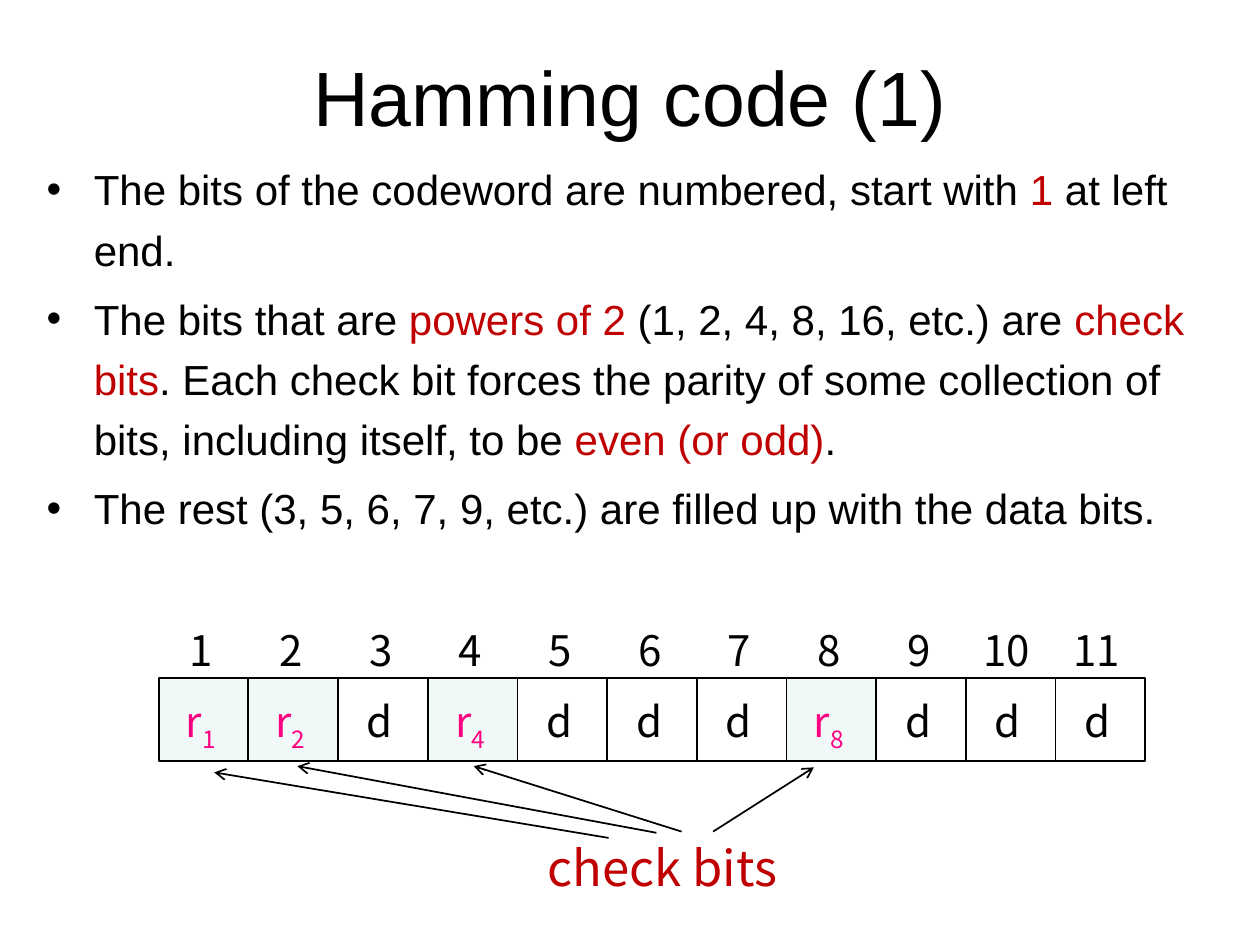
"""Build a slide on the numbering of check bits and data bits in a Hamming code."""
from pptx import Presentation
from pptx.dml.color import RGBColor
from pptx.enum.shapes import MSO_CONNECTOR, MSO_SHAPE
from pptx.enum.text import MSO_ANCHOR, MSO_AUTO_SIZE, PP_ALIGN
from pptx.oxml.ns import qn
from pptx.util import Pt
from lxml.etree import SubElement

BLACK = RGBColor(0x00, 0x00, 0x00)
RED = RGBColor(0xC0, 0x00, 0x00)
PINK = RGBColor(0xFC, 0x02, 0x80)
PALE = RGBColor(0xF0, 0xF8, 0xF8)
BODY_FONT = "Arial"
DIAGRAM_FONT = "Noto Sans CJK SC"

TITLE = "Hamming code (1)"
BULLETS = [
    [("The bits of the codeword are numbered, start with", BLACK), (" 1 ", RED),
     ("at left end.", BLACK)],
    [("The bits that are ", BLACK), ("powers of 2", RED),
     (" (1, 2, 4, 8, 16, etc.) are ", BLACK), ("check bits", RED),
     (". Each check bit forces the parity of some collection of bits, "
      "including itself, to be ", BLACK), ("even (or odd)", RED), (".", BLACK)],
    [("The rest (3, 5, 6, 7, 9, etc.) are filled up with the data bits.", BLACK)],
]
CAPTION = "check bits"
BIT_COUNT = 11
ARROWS = [
    ((347.8, 478.8), (122.4, 441.4)),
    ((375.1, 475.9), (169.9, 437.8)),
    ((389.5, 475.2), (270.7, 437.8)),
    ((407.5, 475.2), (465.1, 438.5)),
]

ROW_LEFT, ROW_TOP = 90.7, 387.4
CELL_WIDTH, CELL_HEIGHT = 51.25, 47.5
NUMBER_TOP = 353.5


def add_span(para, text, size=24, font=BODY_FONT, color=BLACK, subscript=False):
    span = para.add_run()
    span.text = text
    span.font.size = Pt(size)
    span.font.name = font
    span.font.color.rgb = color
    if subscript:
        span._r.get_or_add_rPr().set("baseline", "-25000")


def place(shape, left, top, width, height):
    shape.left, shape.top = Pt(left), Pt(top)
    shape.width, shape.height = Pt(width), Pt(height)


def add_label(page, left, top, width, height, spacing=1.0):
    box = page.shapes.add_textbox(Pt(left), Pt(top), Pt(width), Pt(height))
    box.text_frame.word_wrap = True
    para = box.text_frame.paragraphs[0]
    para.line_spacing = spacing
    return para


def add_bullets(body):
    place(body, 19.4, 84.2, 695.5, 413.3)
    frame = body.text_frame
    frame.auto_size = MSO_AUTO_SIZE.NONE
    for index, pieces in enumerate(BULLETS):
        para = frame.paragraphs[0] if index == 0 else frame.add_paragraph()
        para.line_spacing = 1.2
        para.space_before = Pt(4.8 if index else 0)
        for text, color in pieces:
            add_span(para, text, color=color)


def add_bit(page, number):
    left = ROW_LEFT + (number - 1) * CELL_WIDTH
    is_check = number & (number - 1) == 0
    cell = page.shapes.add_shape(MSO_SHAPE.RECTANGLE, Pt(left), Pt(ROW_TOP),
                                 Pt(CELL_WIDTH), Pt(CELL_HEIGHT))
    cell.shadow.inherit = False
    cell.line.color.rgb = BLACK
    cell.line.width = Pt(1)
    if is_check:
        cell.fill.solid()
        cell.fill.fore_color.rgb = PALE
    else:
        cell.fill.background()

    number_inset, number_width = (10.7, 34.6) if number < 10 else (3, 55)
    para = add_label(page, left + number_inset, NUMBER_TOP, number_width, 36)
    add_span(para, str(number), font=DIAGRAM_FONT)

    if is_check:
        para = add_label(page, left + 8.5, ROW_TOP, 44, 41.8, spacing=1.2)
        add_span(para, "r", font=DIAGRAM_FONT, color=PINK)
        add_span(para, str(number), font=DIAGRAM_FONT, color=PINK, subscript=True)
    else:
        para = add_label(page, left + 9.4, ROW_TOP + 0.5, 36.7, 41, spacing=1.2)
        add_span(para, "d", font=DIAGRAM_FONT)


def add_arrow(page, start, end):
    arrow = page.shapes.add_connector(MSO_CONNECTOR.STRAIGHT,
                                      *map(Pt, start), *map(Pt, end))
    arrow.line.color.rgb = BLACK
    arrow.line.width = Pt(1)
    SubElement(arrow.get_or_add_ln(), qn("a:tailEnd"), type="arrow")
    SubElement(arrow._element.spPr, qn("a:effectLst"))


def main():
    deck = Presentation()
    deck.slide_width, deck.slide_height = Pt(720), Pt(540)
    page = deck.slides.add_slide(deck.slide_layouts[1])

    title = page.shapes.title
    place(title, 36, 9.4, 648, 90)
    title.text_frame.vertical_anchor = MSO_ANCHOR.MIDDLE
    heading = title.text_frame.paragraphs[0]
    heading.alignment = PP_ALIGN.CENTER
    add_span(heading, TITLE, size=44)

    add_bullets(page.placeholders[1])
    for number in range(1, BIT_COUNT + 1):
        add_bit(page, number)
    for start, end in ARROWS:
        add_arrow(page, start, end)
    add_span(add_label(page, 306, 475.2, 203, 41), CAPTION,
             size=28, font=DIAGRAM_FONT, color=RED)

    deck.save("out.pptx")


if __name__ == "__main__":
    main()
